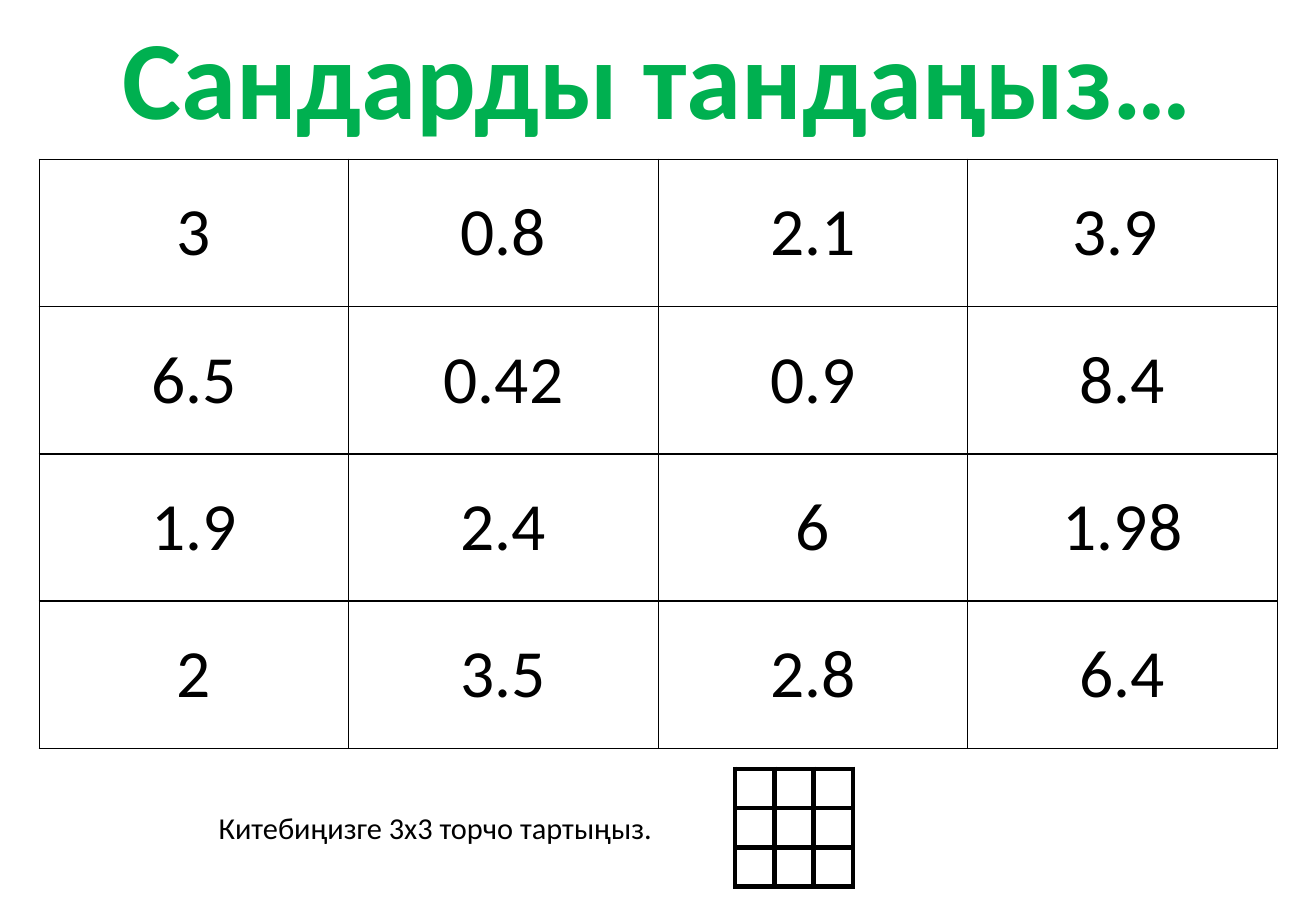
"""Build a number-choosing slide with a bingo table and a small 3x3 grid."""
from lxml.etree import SubElement
from pptx import Presentation
from pptx.dml.color import RGBColor
from pptx.enum.text import MSO_ANCHOR, MSO_AUTO_SIZE, PP_ALIGN
from pptx.oxml.ns import qn
from pptx.util import Cm, Pt

FONT = "Calibri"
BLACK, WHITE, GREEN = "000000", "FFFFFF", "00B050"
TITLE = "Сандарды тандаңыз…"
INSTRUCTION = "Китебиңизге 3х3 торчо тартыңыз."
NUMBERS = [
    ["3", "0.8", "2.1", "3.9 "],
    ["6.5", "0.42", "0.9", "8.4"],
    ["1.9", "2.4", "6", "1.98"],
    ["2", "3.5", "2.8", "6.4"],
]
SAMPLE_GRID = [[""] * 3] * 3


def color(value):
    return RGBColor.from_string(value)


def style_text(paragraph, size, ink, align, bold=False):
    paragraph.alignment = align
    for run in paragraph.runs:
        run.font.name = FONT
        run.font.size = Pt(size)
        run.font.bold = bold
        run.font.color.rgb = color(ink)


def add_borders(cell, width):
    properties = cell._tc.get_or_add_tcPr()
    for side in ("a:lnL", "a:lnR", "a:lnT", "a:lnB"):
        line = SubElement(properties, qn(side), w=str(Pt(width)))
        fill = SubElement(line, qn("a:solidFill"))
        SubElement(fill, qn("a:srgbClr"), val=BLACK)


def add_grid(slide, rows, left, top, cell_width, cell_height, border):
    columns = len(rows[0])
    grid = slide.shapes.add_table(
        len(rows), columns, Cm(left), Cm(top),
        Cm(cell_width * columns), Cm(cell_height * len(rows))).table
    grid.first_row = grid.horz_banding = False
    for column in grid.columns:
        column.width = Cm(cell_width)
    for row, values in zip(grid.rows, rows):
        row.height = Cm(cell_height)
        for cell, value in zip(row.cells, values):
            cell.margin_left = cell.margin_right = 0
            cell.margin_top = cell.margin_bottom = 0
            cell.vertical_anchor = MSO_ANCHOR.MIDDLE
            add_borders(cell, border)
            cell.fill.solid()
            cell.fill.fore_color.rgb = color(WHITE)
            if value:
                cell.text_frame.text = value
                style_text(cell.text_frame.paragraphs[0], 40, BLACK, PP_ALIGN.CENTER)


def add_label(slide, text, place, size, ink, align, bold=False):
    frame = slide.shapes.add_textbox(*map(Cm, place)).text_frame
    frame.word_wrap = False
    frame.auto_size = MSO_AUTO_SIZE.SHAPE_TO_FIT_TEXT
    frame.text = text
    style_text(frame.paragraphs[0], size, ink, align, bold)


def main():
    deck = Presentation()
    deck.slide_width, deck.slide_height = Cm(27.51), Cm(19.05)
    slide = deck.slides.add_slide(deck.slide_layouts[6])
    add_grid(slide, NUMBERS, 0.82, 3.33, 6.47, 3.08, 1)
    add_label(slide, TITLE, (2.01, 0.05, 23.47, 3.07), 66, GREEN, PP_ALIGN.CENTER, True)
    add_grid(slide, SAMPLE_GRID, 15.37, 16.08, 0.82, 0.82, 3)
    add_label(slide, INSTRUCTION, (4.32, 16.79, 9.68, 1.02), 18, BLACK, PP_ALIGN.LEFT)
    deck.save("out.pptx")


if __name__ == "__main__":
    main()
